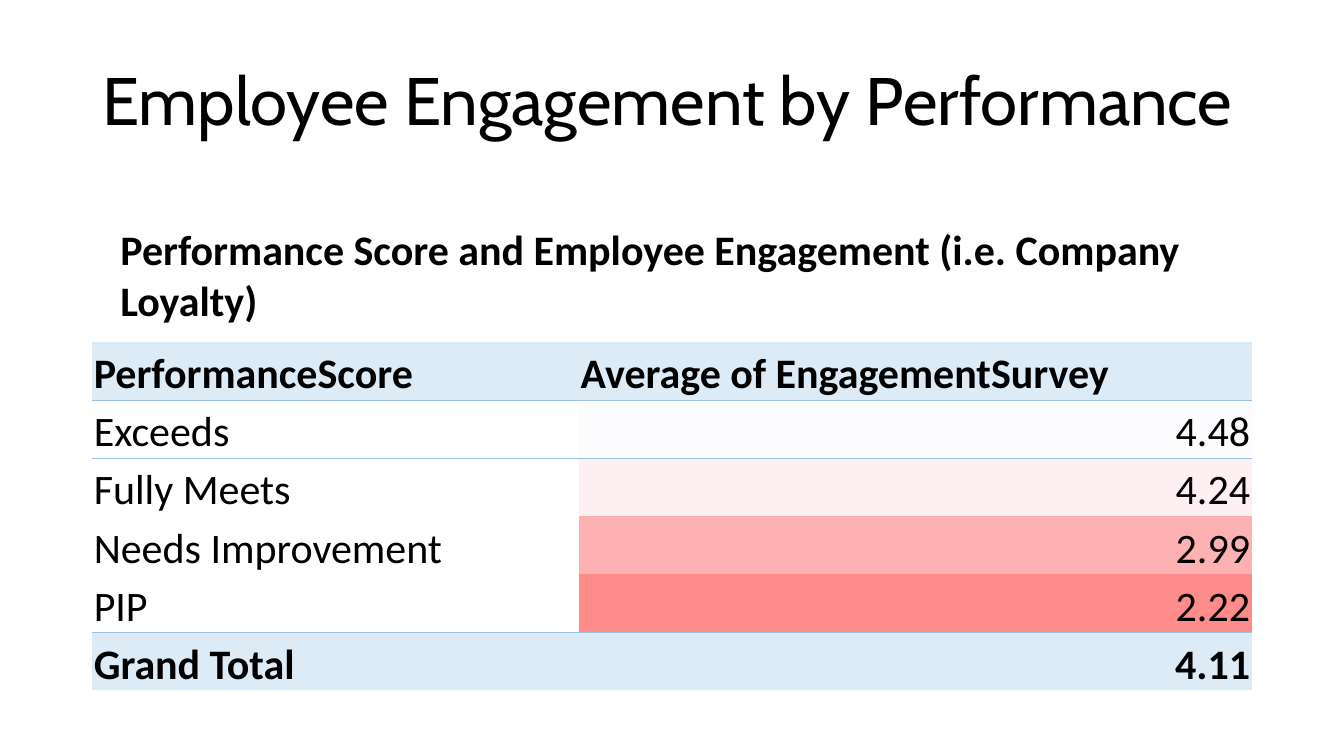
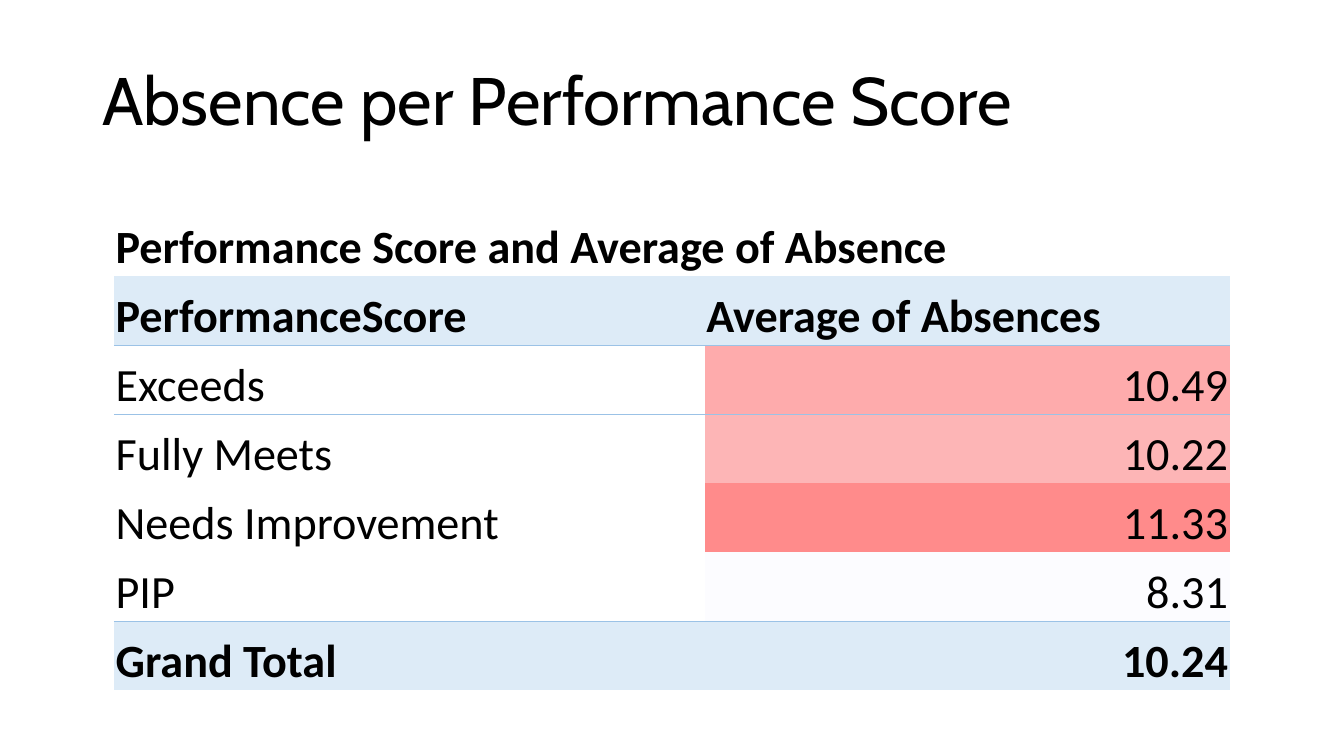
from lxml import etree
from pptx import Presentation
from pptx.dml.color import RGBColor
from pptx.enum import text
from pptx.oxml import ns
from pptx.util import Pt

BLACK, BAND, RULE = "000000", "DDEBF7", "9BC2E6"
TITLE_FONT, TABLE_FONT = "Cabin", "Calibri"
TITLE_BOX = (66, 14.4, 828, 118.8)
NO_STYLE_NO_GRID = "{2D5ABB26-0587-4C30-8999-92F81FD0307C}"

ENGAGEMENT = dict(
    caption="Performance Score and Employee Engagement (i.e. Company Loyalty)",
    header=("PerformanceScore", "Average of EngagementSurvey"),
    scores=[("Exceeds", "4.48", "FCFCFF"),
            ("Fully Meets", "4.24", "FDEFF2"),
            ("Needs Improvement", "2.99", "FEB1B2"),
            ("PIP", "2.22", "FF8B8B")],
    total=("Grand Total", "4.11"))

ABSENCE = dict(
    caption="Performance Score and Average of Absence",
    header=("PerformanceScore", "Average of Absences"),
    scores=[("Exceeds", "10.49", "FEABAC"),
            ("Fully Meets", "10.22", "FDB5B6"),
            ("Needs Improvement", "11.33", "FF8B8B"),
            ("PIP", "8.31", "FCFCFF")],
    total=("Grand Total", "10.24"))


def color(hex_code):
    return RGBColor.from_string(hex_code)


def style_runs(paragraph, font, size, bold=False):
    for run in paragraph.runs:
        run.font.name = font
        run.font.size = Pt(size)
        run.font.bold = bold
        run.font.color.rgb = color(BLACK)


def add_title(slide, box, wording):
    frame = slide.shapes.add_textbox(*map(Pt, box)).text_frame
    frame.word_wrap = True
    frame.vertical_anchor = text.MSO_ANCHOR.MIDDLE
    frame.text = wording
    frame.paragraphs[0].line_spacing = 0.9
    style_runs(frame.paragraphs[0], TITLE_FONT, 48)


def set_border(cell, side):
    """Draw a thin rule on one side: "T" for top, "B" for bottom."""
    line = etree.Element(ns.qn(f"a:ln{side}"), w=str(Pt(0.5)))
    fill = etree.SubElement(line, ns.qn("a:solidFill"))
    etree.SubElement(fill, ns.qn("a:srgbClr"), val=RULE)
    cell._tc.get_or_add_tcPr().insert(0, line)


def fill_cell(cell, wording, size, insets, bold=False, fill=None, right=False):
    cell.margin_left, cell.margin_top, cell.margin_right, cell.margin_bottom = map(Pt, insets)
    cell.vertical_anchor = text.MSO_ANCHOR.BOTTOM
    cell.text = wording
    paragraph = cell.text_frame.paragraphs[0]
    paragraph.alignment = text.PP_ALIGN.RIGHT if right else text.PP_ALIGN.LEFT
    style_runs(paragraph, TABLE_FONT, size, bold)
    if fill:
        cell.fill.solid()
        cell.fill.fore_color.rgb = color(fill)
    else:
        cell.fill.background()


def add_score_table(slide, left, top, widths, caption_height, row_height,
                    size, inset, caption_insets, content):
    """Place a caption row, a header, one row per score and a total."""
    body = [(content["header"], (BAND, BAND), True)]
    body += [((score, value), (None, shade), False)
             for score, value, shade in content["scores"]]
    body += [(content["total"], (BAND, BAND), True)]
    heights = [caption_height] + [row_height] * len(body)

    table = slide.shapes.add_table(len(heights), 2, Pt(left), Pt(top),
                                   Pt(sum(widths)), Pt(sum(heights))).table
    table.first_row = table.horz_banding = False
    table._tbl.tblPr.find(ns.qn("a:tableStyleId")).text = NO_STYLE_NO_GRID
    for column, width in zip(table.columns, widths):
        column.width = Pt(width)
    for row, height in zip(table.rows, heights):
        row.height = Pt(height)

    caption = table.cell(0, 0)
    caption.merge(table.cell(0, 1))
    fill_cell(caption, content["caption"], size, caption_insets, bold=True)

    last = len(body)
    borders = {1: "B", 2: "T", last - 1: "B", last: "T"}
    insets = (inset, inset, inset, 0)
    for r, (wordings, fills, bold) in enumerate(body, 1):
        for c, (wording, fill) in enumerate(zip(wordings, fills)):
            cell = table.cell(r, c)
            fill_cell(cell, wording, size, insets, bold, fill, right=c == 1 and r > 1)
            if r in borders:
                set_border(cell, borders[r])


def main():
    deck = Presentation()
    deck.slide_width, deck.slide_height = Pt(960), Pt(540)
    blank = deck.slide_layouts[6]

    engagement = deck.slides.add_slide(blank)
    add_title(engagement, TITLE_BOX, "Employee Engagement by Performance")
    add_score_table(engagement, 66, 147, (347.8, 480.2), 97.2, 41.5,
                    30, 1, (20, 10, 20, 10), ENGAGEMENT)

    absence = deck.slides.add_slide(blank)
    add_title(absence, TITLE_BOX, "Absence per Performance Score")
    add_score_table(absence, 81.4, 147.8, (421.9, 375.1), 49.3, 49.3,
                    33, 1.2, (1.2, 1.2, 1.2, 0), ABSENCE)

    deck.save("out.pptx")


if __name__ == "__main__":
    main()
